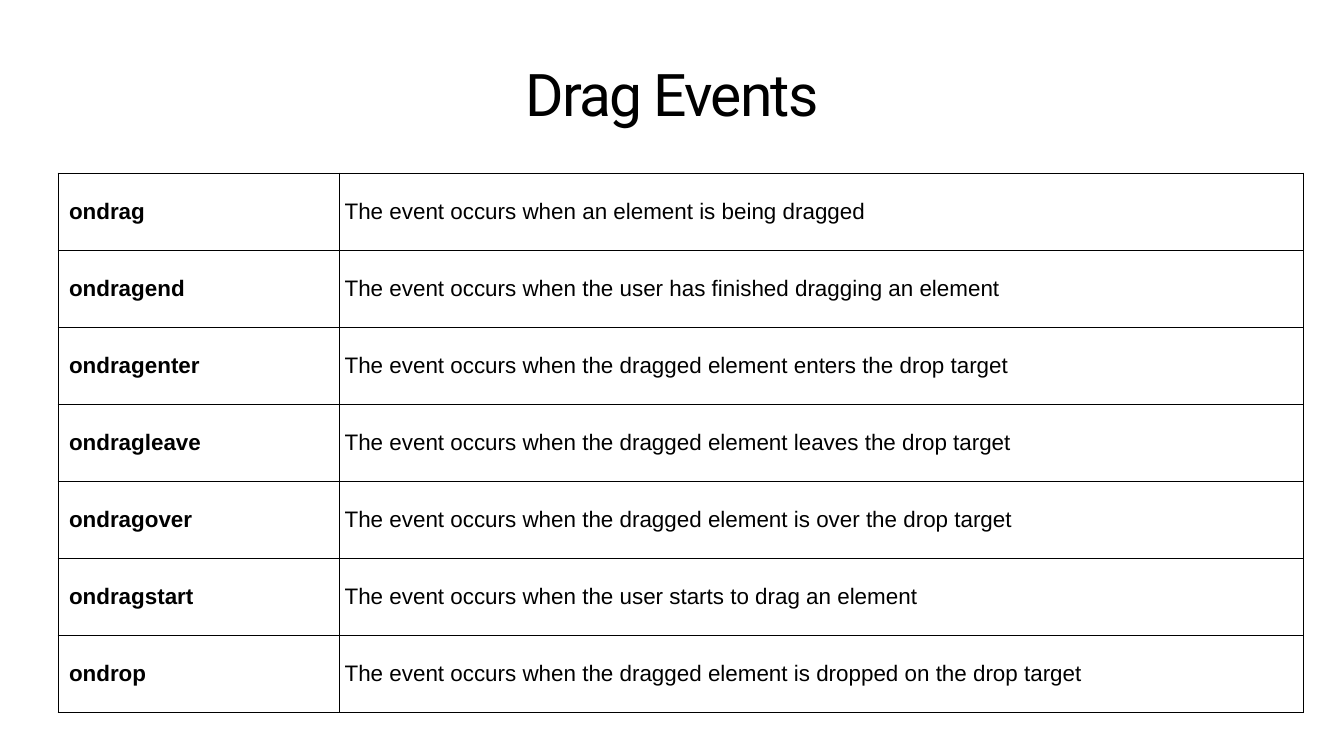
from lxml.etree import SubElement as Sub
from pptx import Presentation
from pptx.dml.color import RGBColor as RGB
from pptx.enum.text import MSO_ANCHOR as Anchor, MSO_AUTO_SIZE as Fit, PP_ALIGN as Align
from pptx.oxml.ns import qn
from pptx.util import Inches, Pt

COLORS = {"ink": "000000", "paper": "FFFFFF"}
HEAD = {"name": "Roboto", "size": Pt(84), "bold": False}
TERM = {"name": "Arial", "size": Pt(32), "bold": True}
BODY = {**TERM, "bold": False}
PAD = Inches(0.11)
EVENTS = {
    "ondrag": "an element is being dragged",
    "ondragend": "the user has finished dragging an element",
    "ondragenter": "the dragged element enters the drop target",
    "ondragleave": "the dragged element leaves the drop target",
    "ondragover": "the dragged element is over the drop target",
    "ondragstart": "the user starts to drag an element",
    "ondrop": "the dragged element is dropped on the drop target",
}


def apply(item, **values):
    for name, value in values.items():
        setattr(item, name, value)


class Deck:
    """Places elements on a grid of 100 columns by 100 rows."""

    def __init__(self, wide, high):
        self.prs = Presentation()
        apply(self.prs, slide_width=Inches(wide), slide_height=Inches(high))
        self.slide = self.prs.slides.add_slide(self.prs.slide_layouts[5])
        fill = self.slide.background.fill
        fill.solid()
        fill.fore_color.rgb = RGB.from_string(COLORS["paper"])

    def col(self, count):
        return round(self.prs.slide_width * count / 100)

    def row(self, count):
        return round(self.prs.slide_height * count / 100)

    def label(self, frame, text, style):
        para = frame.paragraphs[0]
        run = para.add_run()
        run.text = text
        apply(run.font, **style)
        run.font.color.rgb = RGB.from_string(COLORS["ink"])
        return para, run

    def title(self, text, left, top, wide, high):
        shape = self.slide.shapes.title
        apply(shape, left=self.col(left), top=self.row(top),
              width=self.col(wide), height=self.row(high))
        frame, pad = shape.text_frame, Inches(0.06)
        apply(frame, word_wrap=True, auto_size=Fit.NONE, vertical_anchor=Anchor.BOTTOM,
              margin_left=pad, margin_right=pad, margin_top=pad, margin_bottom=pad)
        para, run = self.label(frame, text, HEAD)
        apply(para, alignment=Align.CENTER, line_spacing=0.8)
        run.font._element.set("spc", "-250")

    def border(self, cell):
        props = cell._tc.get_or_add_tcPr()
        for at, side in enumerate(("lnL", "lnR", "lnT", "lnB")):
            line = props.makeelement(qn(f"a:{side}"), {"w": str(Pt(1))})
            fill = Sub(line, qn("a:solidFill"))
            Sub(fill, qn("a:srgbClr"), val=COLORS["ink"])
            props.insert(at, line)

    def table(self, rows, left, top, widths, high):
        grid = self.slide.shapes.add_table(
            len(rows), len(widths), self.col(left), self.row(top),
            self.col(sum(widths)), self.row(high * len(rows))).table
        apply(grid, first_row=False, horz_banding=False)
        for column, width in zip(grid.columns, widths):
            column.width = self.col(width)
        for line, texts in zip(grid.rows, rows):
            line.height = self.row(high)
            for cell, text, style, inset in zip(line.cells, texts, (TERM, BODY), (2 * PAD, PAD)):
                apply(cell, vertical_anchor=Anchor.MIDDLE, margin_left=inset,
                      margin_right=PAD, margin_top=PAD, margin_bottom=PAD)
                cell.fill.background()
                self.border(cell)
                self.label(cell.text_frame, text, style)


def main():
    deck = Deck(26.67, 15)
    deck.title("Drag Events", 5.21, 5.93, 89.58, 11.33)
    rows = [(name, f"The event occurs when {what}") for name, what in EVENTS.items()]
    deck.table(rows, 4.31, 22.87, (20.92, 71.73), 10.2)
    deck.prs.save("out.pptx")


if __name__ == "__main__":
    main()
